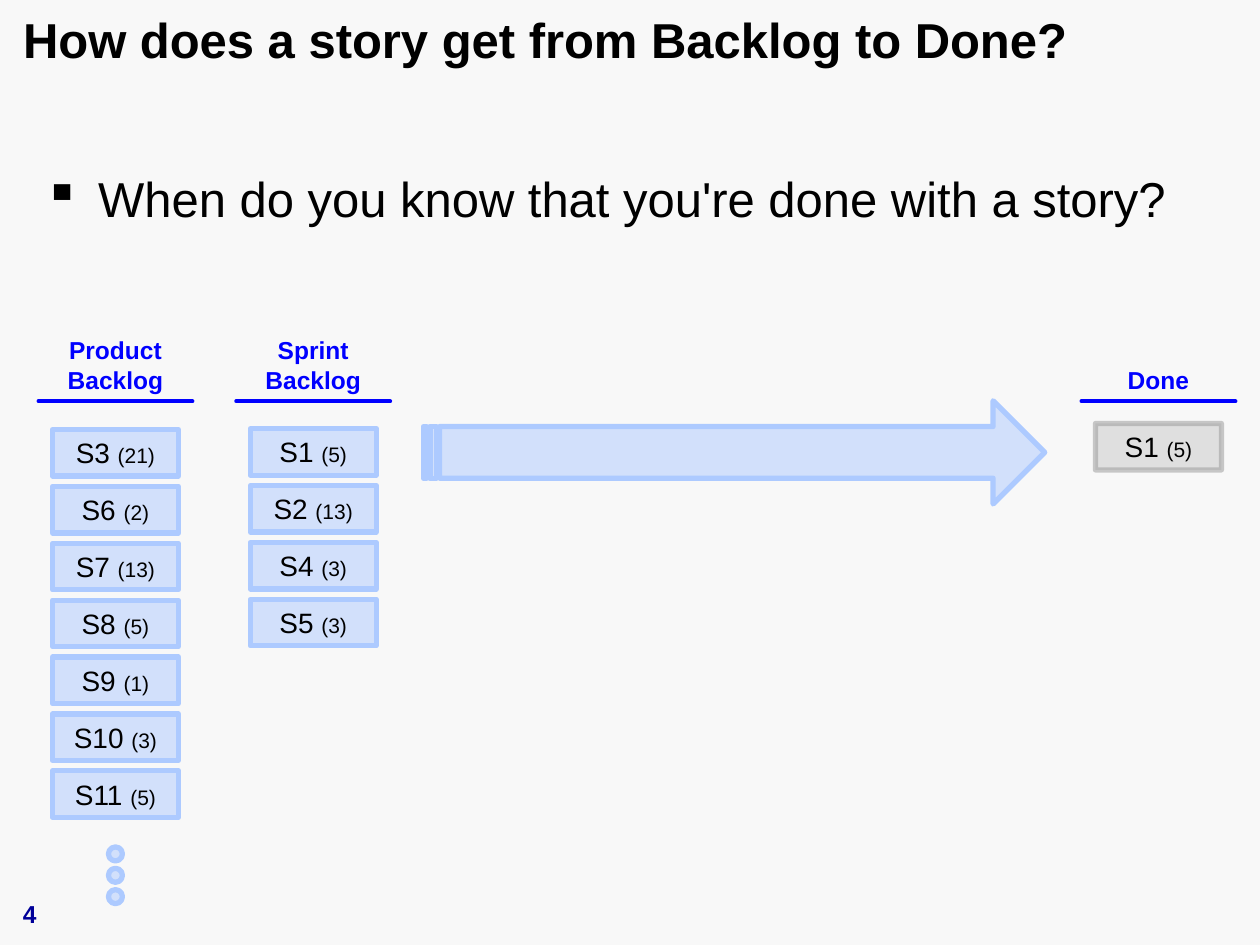
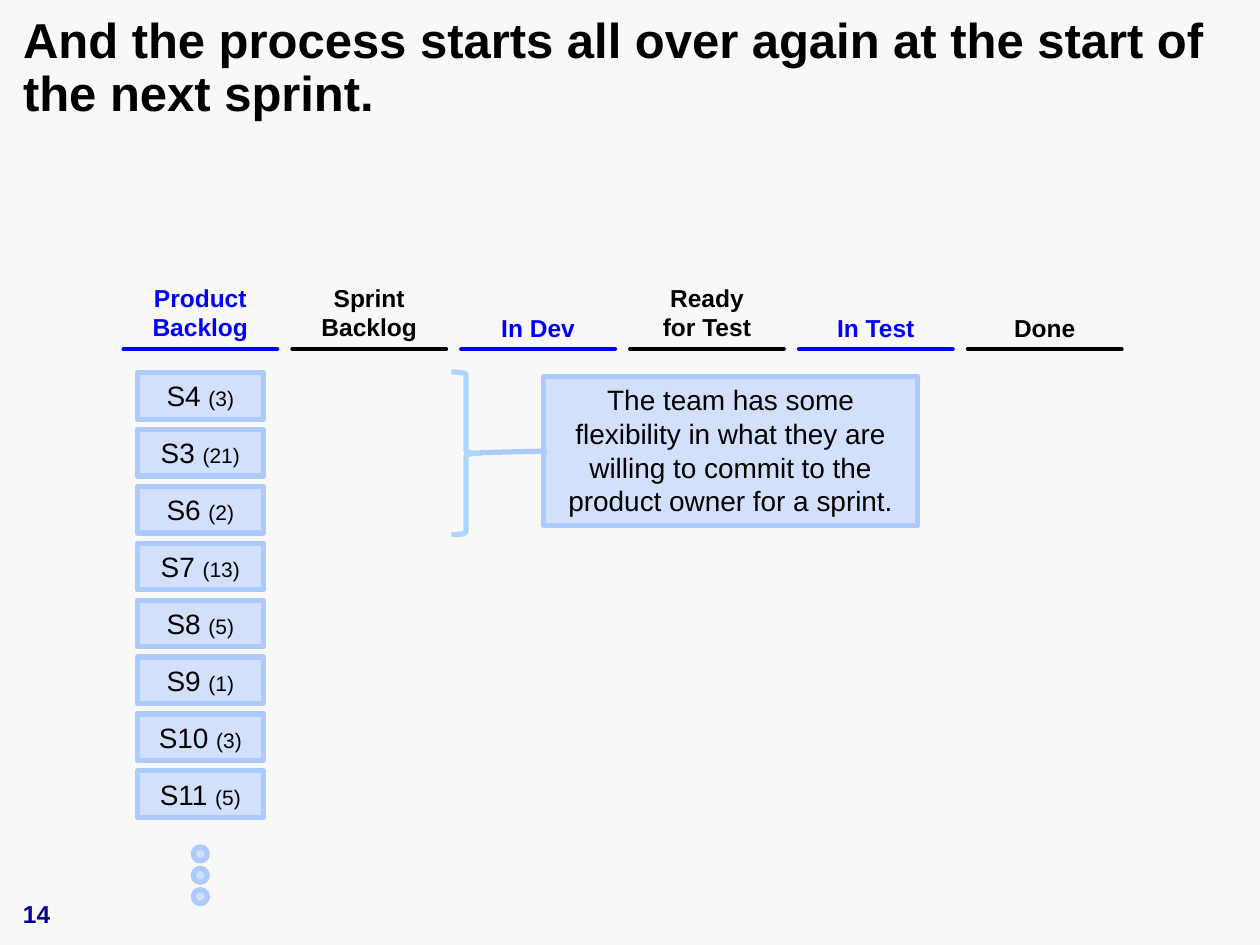
"""Build two slides on how stories move from the backlog to done."""
import copy
from pptx import Presentation
from pptx import util as u
from pptx.dml.color import RGBColor
from pptx.enum import shapes, text
from pptx.oxml.ns import qn
from lxml import etree

Pt = u.Pt
PAPER = RGBColor(0xF8, 0xF8, 0xF8)
BLACK = RGBColor(0, 0, 0)
BLUE = RGBColor(0, 0, 0xFF)
NAVY = RGBColor(0, 0, 0x99)
SKY = RGBColor(0xAD, 0xCA, 0xFF)
BRACE = RGBColor(0xAD, 0xD6, 0xFF)
GRAY = RGBColor(0x96, 0x96, 0x96)

FONT = "Arial"
CARD_W, CARD_H, CARD_STEP = 72, 26.6, 32.5
HEADER_W = 88
DOT, DOT_STEP, DOT_TOP = 8, 12.2, 484
S3_TOP = 245.5
PRODUCT = ["S3 (21)", "S6 (2)", "S7 (13)", "S8 (5)", "S9 (1)", "S10 (3)", "S11 (5)"]
KIND = shapes.MSO_SHAPE


class Board:
    """Hold the deck style and draw elements on the current slide."""

    def __init__(self):
        self.prs = Presentation()
        self.prs.slide_width, self.prs.slide_height = Pt(720), Pt(540)
        self.s = None

    def slide(self, title, number, title_h):
        self.s = self.prs.slides.add_slide(self.prs.slide_layouts[5])
        fill = self.s.background.fill
        fill.solid()
        fill.fore_color.rgb = PAPER
        sp = self.s.shapes.title
        sp.left, sp.top, sp.width, sp.height = Pt(6), Pt(6), Pt(707), Pt(title_h)
        self.label(sp, [(title, 28)], bold=True, align="LEFT").line_spacing = 0.89
        self.box(str(number), 6, 505.5, 168, 28.5, 14, NAVY, bold=True, anchor="BOTTOM")

    def label(self, sp, parts, color=BLACK, bold=False, align="CENTER", anchor="TOP", inset=3.6):
        tf = sp.text_frame
        frame = dict(word_wrap=True, auto_size=text.MSO_AUTO_SIZE.NONE,
                     vertical_anchor=getattr(text.MSO_ANCHOR, anchor),
                     margin_left=Pt(7.2), margin_right=Pt(7.2),
                     margin_top=Pt(inset), margin_bottom=Pt(inset))
        for key, value in frame.items():
            setattr(tf, key, value)
        p = tf.paragraphs[0]
        p.alignment = getattr(text.PP_ALIGN, align)
        for words, size in parts:
            for i, line in enumerate(words.split("\n")):
                if i:
                    p.add_line_break()
                r = p.add_run()
                r.text = line
                for key, value in dict(name=FONT, size=Pt(size), bold=bold).items():
                    setattr(r.font, key, value)
                r.font.color.rgb = color
        for br in p._p.findall(qn("a:br")):
            br.append(copy.deepcopy(p.runs[0]._r.rPr))
        return p

    def box(self, words, x, y, w, h, size, color=BLACK, align="LEFT", **style):
        sp = self.s.shapes.add_textbox(Pt(x), Pt(y), Pt(w), Pt(h))
        return self.label(sp, [(words, size)], color, align=align, **style)

    def bullet(self, words, x, y, w, h):
        pPr = self.box(words, x, y, w, h, 28)._p.get_or_add_pPr()
        pPr.set("marL", str(Pt(31)))
        pPr.set("indent", str(-Pt(31)))
        etree.SubElement(pPr, qn("a:buChar"), char="▪")

    def shape(self, kind, x, y, w, h, color=SKY, fill_alpha=50, line_alpha=100):
        sp = self.s.shapes.add_shape(kind, Pt(x), Pt(y), Pt(w), Pt(h))
        sp.shadow.inherit = False
        sp.line.width = Pt(3)
        for fill, alpha in ((sp.fill, fill_alpha), (sp.line.fill, line_alpha)):
            if not alpha:
                fill.background()
                continue
            fill.solid()
            fill.fore_color.rgb = color
            if alpha < 100:
                clr = fill._xPr.find(qn("a:solidFill"))[0]
                etree.SubElement(clr, qn("a:alpha"), val=str(alpha * 1000))
        return sp

    def card(self, story, x, y, **look):
        name, points = story.split()
        sp = self.shape(KIND.RECTANGLE, x, y, CARD_W, CARD_H, **look)
        self.label(sp, [(name + " ", 16), (points, 12)])

    def stack(self, stories, x, y):
        for i, story in enumerate(stories):
            self.card(story, x, y + i * CARD_STEP)

    def dots(self, x):
        for i in range(3):
            self.shape(KIND.OVAL, x + (CARD_W - DOT) / 2, DOT_TOP + i * DOT_STEP, DOT, DOT)

    def header(self, words, x, y, color=BLUE):
        h = 14.4 + 17 * len(words.split("\n"))
        self.box(words, x, y + 3.4 - h, HEADER_W, h, 14, color, "CENTER", bold=True, inset=7.2)
        line = self.s.shapes.add_connector(
            shapes.MSO_CONNECTOR.STRAIGHT, Pt(x), Pt(y), Pt(x + HEADER_W), Pt(y))
        line.line.width = Pt(2.25)
        line.line.color.rgb = color
        line.line._get_or_add_ln().set("cap", "rnd")
        etree.SubElement(line._element.spPr, qn("a:effectLst"))


def backlog_to_done(b):
    b.slide("How does a story get from Backlog to Done?", 4, 37.5)
    b.bullet("When do you know that you're done with a story?", 18, 92.5, 684, 41)
    for words, x in (("Product\nBacklog", 22), ("Sprint\nBacklog", 135), ("Done", 618)):
        b.header(words, x, 229.3)
    b.stack(PRODUCT, 30, S3_TOP)
    b.dots(30)
    b.stack(["S1 (5)", "S2 (13)", "S4 (3)", "S5 (3)"], 143, 245)
    b.shape(KIND.STRIPED_RIGHT_ARROW, 242, 229, 355, 59)
    b.card("S1 (5)", 626, 242, color=GRAY, fill_alpha=25, line_alpha=50)


def next_sprint(b):
    b.slide("And the process starts all over again at the start of the next sprint.", 14, 90)
    columns = ["Product\nBacklog", "Sprint\nBacklog", "In Dev", "Ready\nfor Test", "In Test", "Done"]
    for i, words in enumerate(columns):
        b.header(words, 70.5 + i * 96.5, 199.5, BLACK if i % 2 else BLUE)
    b.stack(["S4 (3)"] + PRODUCT, 78.5, S3_TOP - CARD_STEP)
    b.dots(78.5)
    b.shape(KIND.RIGHT_BRACE, 258, 212.5, 16.5, 93, color=BRACE, fill_alpha=0)
    sp = b.shape(KIND.LINE_CALLOUT_1, 310.5, 215.3, 214, 85)
    for i, value in enumerate((0.5, 0.01, 0.51, -0.17)):
        sp.adjustments[i] = value
    b.label(sp, [("The team has some flexibility in what they are willing to commit "
                  "to the product owner for a sprint.", 16)])


def main():
    b = Board()
    backlog_to_done(b)
    next_sprint(b)
    b.prs.save("out.pptx")


if __name__ == "__main__":
    main()
